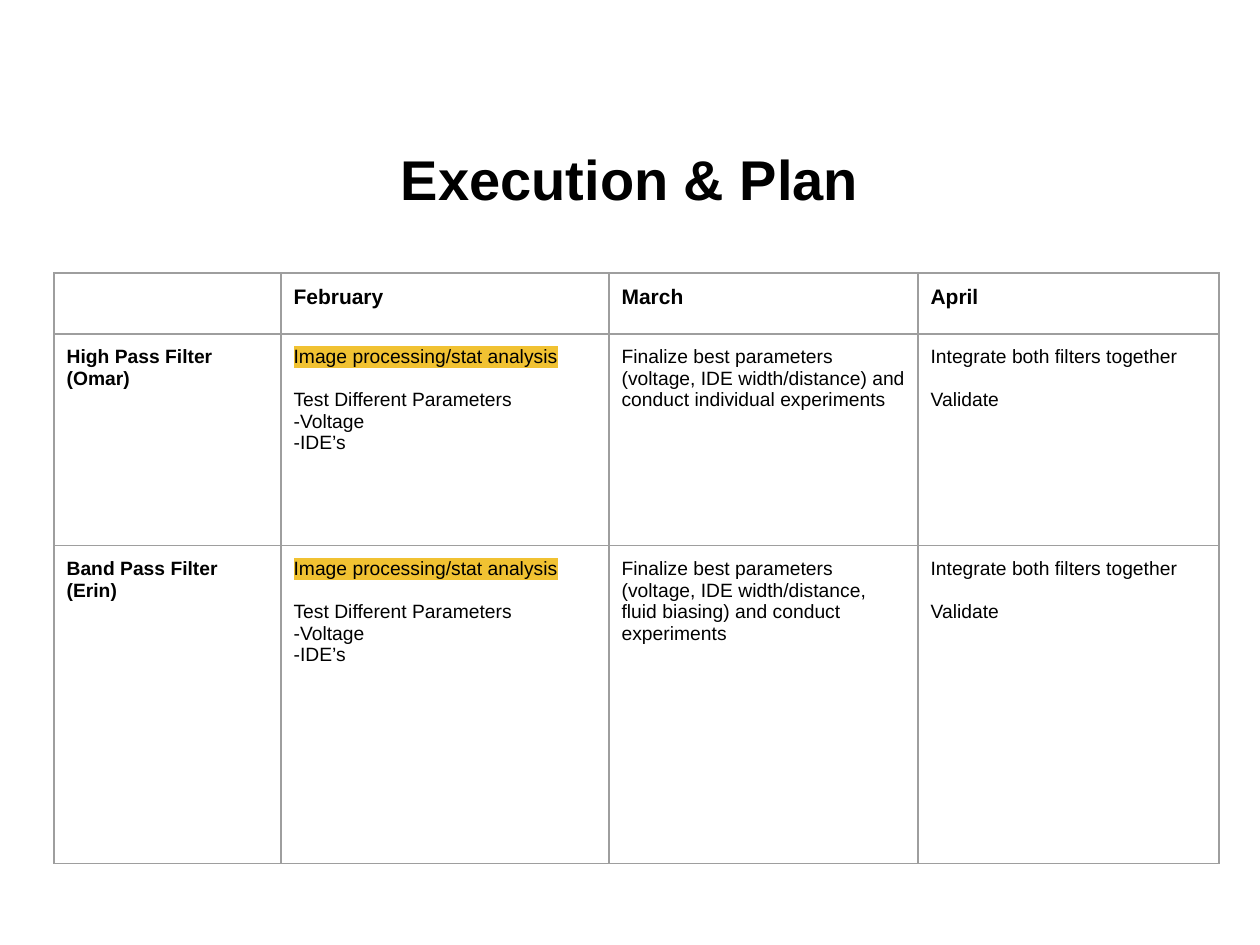
from dataclasses import dataclass

from lxml.etree import SubElement
from pptx import Presentation
from pptx.dml.color import RGBColor
from pptx.enum.text import MSO_ANCHOR, PP_ALIGN
from pptx.oxml import parse_xml
from pptx.oxml.ns import nsdecls, qn
from pptx.util import Emu, Pt


@dataclass(frozen=True)
class Theme:
    """Colours, type sizes and spacing of the slide."""
    font: str = "Arial"
    ink: str = "000000"
    mark: str = "F1C232"
    rule: str = "9E9E9E"
    title: int = 32
    head: int = 12
    body: int = 11
    gap: float = 12.2
    rule_width: float = 0.75


THEME = Theme()
COLS = (227, 328, 309, 301)
ROWS = (61, 212, 318)
ANALYSIS = ("Image processing/stat analysis", "Test Different Parameters", "-Voltage", "-IDE’s")
INTEGRATION = ("Integrate both filters together", "Validate")
PLAN = (
    (("",), ("February",), ("March",), ("April",)),
    (("High Pass Filter (Omar)",), ANALYSIS,
     ("Finalize best parameters (voltage, IDE width/distance) and conduct individual experiments",),
     INTEGRATION),
    (("Band Pass Filter (Erin)",), ANALYSIS,
     ("Finalize best parameters (voltage, IDE width/distance, fluid biasing) and conduct experiments",),
     INTEGRATION),
)


def px(n):
    """Turn pixels into EMU."""
    return Emu(round(n * 914400 / 126))


def assign(obj, formats):
    """Set each attribute named in a dict of formats."""
    for name, value in formats.items():
        setattr(obj, name, value)


def style_font(font, size, bold):
    """Apply the theme typeface and ink at a given size."""
    assign(font, {"name": THEME.font, "size": Pt(size), "bold": bold})
    font.color.rgb = RGBColor.from_string(THEME.ink)


def highlight(r):
    """Mark a run with the theme highlight colour."""
    mark = parse_xml(f'<a:highlight {nsdecls("a")}><a:srgbClr val="{THEME.mark}"/></a:highlight>')
    r.font.fill._xPr.find(qn("a:solidFill")).addnext(mark)


def add_title(s, text):
    """Add the centred slide title."""
    tf = s.shapes.add_textbox(px(63), px(123), px(1134), px(111)).text_frame
    assign(tf, {"word_wrap": True, "vertical_anchor": MSO_ANCHOR.MIDDLE})
    p = tf.paragraphs[0]
    p.alignment = PP_ALIGN.CENTER
    r = p.add_run()
    r.text = text
    style_font(r.font, THEME.title, True)


def border(cell):
    """Draw the four cell borders."""
    tcPr = cell._tc.get_or_add_tcPr()
    for side in ("lnL", "lnR", "lnT", "lnB"):
        ln = SubElement(tcPr, qn(f"a:{side}"), w=str(Pt(THEME.rule_width)))
        fill = SubElement(ln, qn("a:solidFill"))
        SubElement(fill, qn("a:srgbClr"), val=THEME.rule)


def fill_cell(cell, lines, size, bold):
    """Write the lines of a cell, with a gap after the first one."""
    inset = Emu(91440)
    assign(cell, {f"margin_{side}": inset for side in ("left", "right", "top", "bottom")})
    border(cell)
    cell.fill.background()
    tf = cell.text_frame
    for i, line in enumerate(lines):
        p = tf.add_paragraph() if i else tf.paragraphs[0]
        if i == 1:
            p.space_before = Pt(THEME.gap)
        if not line:
            style_font(p.font, size, bold)
            continue
        r = p.add_run()
        r.text = line
        style_font(r.font, size, bold)
        if lines is ANALYSIS and i == 0:
            highlight(r)


def add_plan(s):
    """Add the table of filters by month."""
    frame = s.shapes.add_table(len(ROWS), len(COLS), px(54), px(273), px(sum(COLS)), px(sum(ROWS)))
    table = frame.table
    assign(table, {"first_row": False, "horz_banding": False})
    for col, width in zip(table.columns, COLS):
        col.width = px(width)
    for row, height in zip(table.rows, ROWS):
        row.height = px(height)
    for i, row in enumerate(PLAN):
        for j, lines in enumerate(row):
            size = THEME.body if i else THEME.head
            fill_cell(table.cell(i, j), lines, size, i == 0 or j == 0)


def main():
    """Build and save the slide."""
    prs = Presentation()
    assign(prs, {"slide_width": px(1260), "slide_height": px(945)})
    s = prs.slides.add_slide(prs.slide_layouts[6])
    add_title(s, "Execution & Plan")
    add_plan(s)
    prs.save("out.pptx")


if __name__ == "__main__":
    main()
